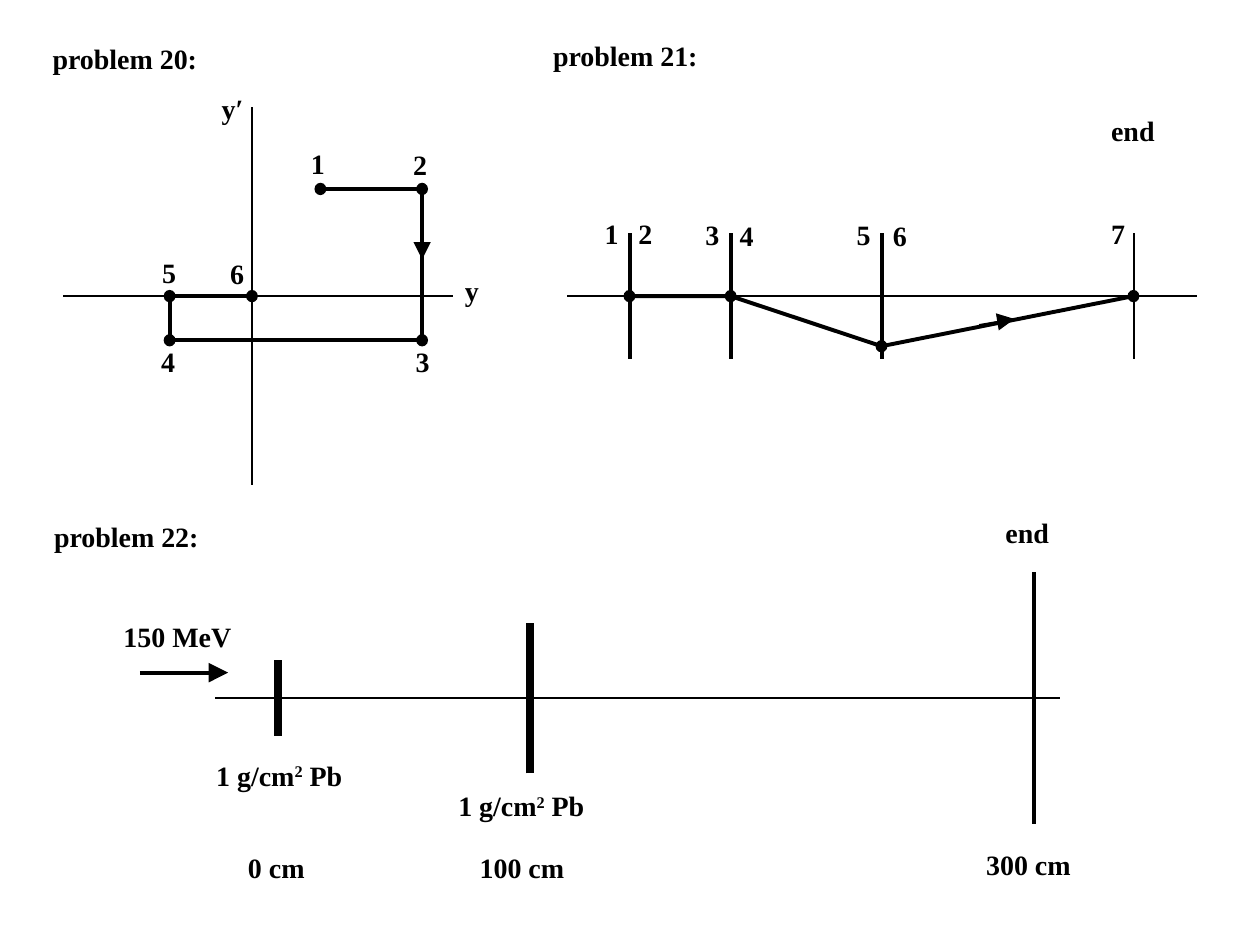
from lxml import etree
from pptx import Presentation
from pptx.dml.color import RGBColor
from pptx.enum.shapes import MSO_CONNECTOR, MSO_SHAPE
from pptx.enum.text import MSO_AUTO_SIZE
from pptx.oxml.ns import qn
from pptx.util import Cm, Pt

BLACK = RGBColor(0, 0, 0)
STRAIGHT = MSO_CONNECTOR.STRAIGHT
ELLIPSE = MSO_SHAPE.OVAL
FIT_SHAPE = MSO_AUTO_SIZE.SHAPE_TO_FIT_TEXT

THIN, MEDIUM, THICK = 1, 2.25, 4.5
DIGIT_WIDTH, HEADING_WIDTH, END_WIDTH = 0.81, 3.89, 1.57
MASS_WIDTH, DISTANCE_WIDTH = 3.35, 2.44


def write(para, text, font="Times New Roman", size=16, bold=True, color=BLACK, raised=False):
    """Add a formatted span of text to a paragraph."""
    span = para.add_run()
    span.text = text
    span.font.name = font
    span.font.size = Pt(size)
    span.font.bold = bold
    span.font.color.rgb = color
    if raised:
        span._r.get_or_add_rPr().set("baseline", "30000")


class Sketch:
    """Draw the elements of ray diagrams on one page, in centimetres."""

    def __init__(self, page, color=BLACK):
        self.shapes = page.shapes
        self.color = color

    def line(self, start, end, weight=THIN, arrow=False):
        connector = self.shapes.add_connector(STRAIGHT, *map(Cm, start + end))
        connector.line.color.rgb = self.color
        connector.line.width = Pt(weight)
        if arrow:
            etree.SubElement(connector.line._get_or_add_ln(), qn("a:tailEnd"),
                             type="triangle", w="lg", len="lg")
        etree.SubElement(connector._element.spPr, qn("a:effectLst"))

    def dot(self, x, y, width=0.24, height=0.25):
        dot = self.shapes.add_shape(ELLIPSE, Cm(x - width / 2), Cm(y - height / 2),
                                    Cm(width), Cm(height))
        dot.shadow.inherit = False
        dot.fill.solid()
        dot.fill.fore_color.rgb = self.color
        dot.line.fill.background()

    def trajectory(self, points, weight=MEDIUM):
        for x, y in points:
            self.dot(x, y)
        corners = [(Cm(x), Cm(y)) for x, y in points]
        builder = self.shapes.build_freeform(*corners[0])
        builder.add_line_segments(corners[1:], close=False)
        track = builder.convert_to_shape()
        track.shadow.inherit = False
        track.fill.background()
        track.line.color.rgb = self.color
        track.line.width = Pt(weight)

    def label(self, text, left, top, width=DIGIT_WIDTH, exponent="", unit=""):
        box = self.shapes.add_textbox(Cm(left), Cm(top), Cm(width), Cm(0.94))
        box.text_frame.word_wrap = False
        box.text_frame.auto_size = FIT_SHAPE
        para = box.text_frame.paragraphs[0]
        write(para, text, color=self.color)
        if exponent:
            write(para, exponent, color=self.color, raised=True)
            write(para, unit, color=self.color)

    def numbers(self, places):
        for number, (left, top) in enumerate(places, start=1):
            self.label(str(number), left, top)


def draw_phase_space(sketch):
    """Draw problem 20, the path in the y, y′ plane."""
    axis, origin = 5.97, 5.08
    sketch.label("problem 20:", 0.81, 0.71, HEADING_WIDTH)
    sketch.line((1.27, axis), (9.14, axis))
    sketch.line((origin, 2.16), (origin, 9.78))
    sketch.trajectory([(6.46, 3.81), (8.51, 3.81), (8.51, 6.86),
                       (3.42, 6.86), (3.42, axis), (origin, axis)])
    sketch.line((8.51, 4.37), (8.51, 5.23), arrow=True)
    sketch.numbers([(6.02, 2.82), (8.08, 2.84), (8.13, 6.83),
                    (3, 6.83), (3.02, 5.03), (4.39, 5.05)])
    sketch.label("y′", 4.22, 1.73, 0.97)
    sketch.label("y", 9.12, 5.38, 0.84)


def draw_ray(sketch):
    """Draw problem 21, the ray through three elements."""
    axis = 5.97
    sketch.label("problem 21:", 10.9, 0.66, HEADING_WIDTH)
    sketch.label("end", 22.15, 2.16, END_WIDTH)
    sketch.line((11.43, axis), (24.13, axis))
    for x, weight in ((12.7, MEDIUM), (14.73, MEDIUM), (17.78, MEDIUM), (22.86, THIN)):
        sketch.line((x, 4.7), (x, 7.24), weight)
    sketch.trajectory([(12.69, axis), (14.73, axis), (17.77, 6.98), (22.85, axis)])
    sketch.line((19.74, 6.55), (20.45, 6.43), arrow=True)
    sketch.numbers([(11.94, 4.24), (12.62, 4.24), (13.97, 4.27), (14.66, 4.29),
                    (17.02, 4.27), (17.75, 4.29), (22.15, 4.24)])


def draw_beam_line(sketch):
    """Draw problem 22, the beam through two lead plates."""
    axis = 14.07
    sketch.label("problem 22:", 0.84, 10.34, HEADING_WIDTH)
    sketch.label("end", 20.02, 10.26, END_WIDTH)
    sketch.line((4.34, axis), (21.36, axis))
    for x, reach, weight in ((5.61, 0.76, THICK), (10.69, 1.52, THICK), (20.85, 2.54, MEDIUM)):
        sketch.line((x, axis + reach), (x, axis - reach), weight)
    sketch.line((2.82, 13.56), (4.6, 13.56), MEDIUM, arrow=True)
    sketch.label("150 MeV", 2.24, 12.37, 2.84)
    for left, top in ((4.11, 15.16), (8.99, 15.77)):
        sketch.label("1 g/cm", left, top, MASS_WIDTH, exponent="2", unit=" Pb")
    sketch.label("0 cm", 4.75, 17.02, 1.8)
    sketch.label("100 cm", 9.42, 17.02, DISTANCE_WIDTH)
    sketch.label("300 cm", 19.63, 16.97, DISTANCE_WIDTH)


def main():
    """Build the deck and save it."""
    deck = Presentation()
    deck.slide_width, deck.slide_height = Cm(25.4), Cm(19.05)
    sketch = Sketch(deck.slides.add_slide(deck.slide_layouts[6]))
    draw_phase_space(sketch)
    draw_ray(sketch)
    draw_beam_line(sketch)
    deck.save("out.pptx")


if __name__ == "__main__":
    main()
